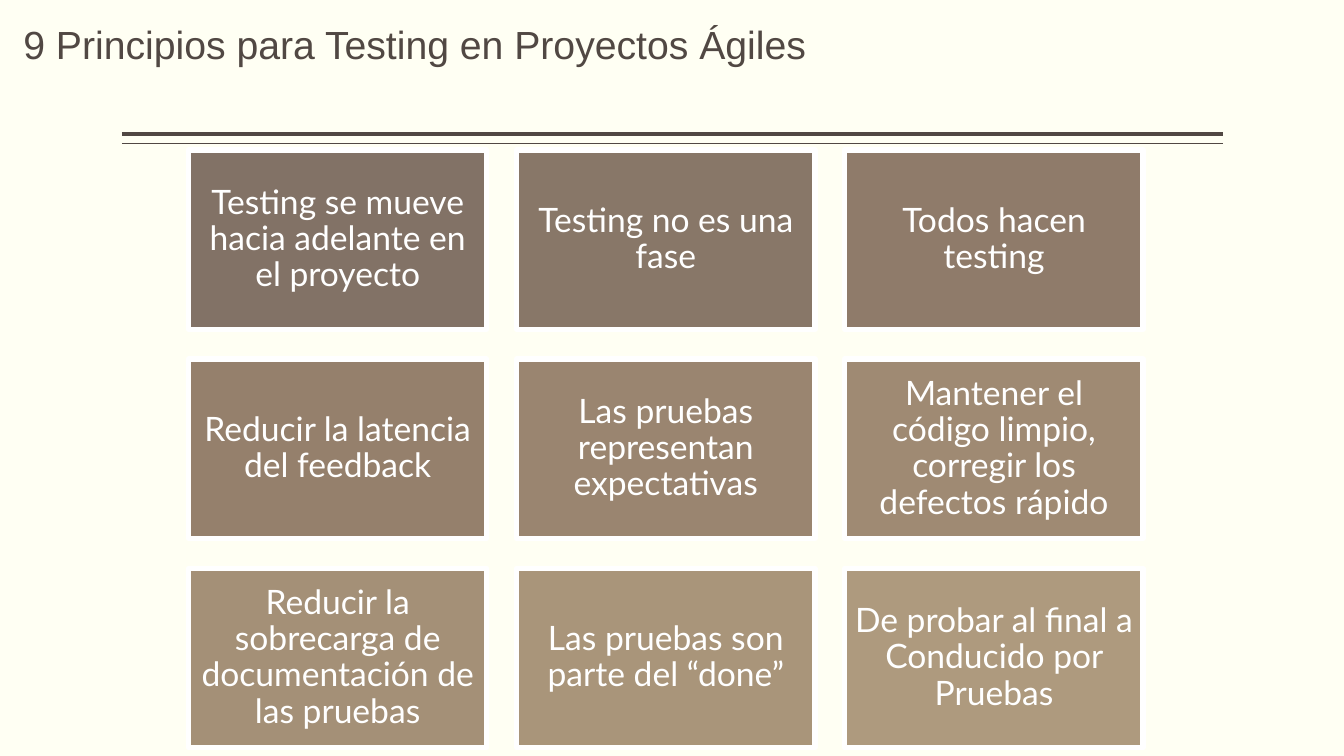
from dataclasses import dataclass

from lxml import etree
from pptx import Presentation
from pptx.dml.color import RGBColor
from pptx.enum.shapes import MSO_CONNECTOR, MSO_SHAPE
from pptx.enum.text import MSO_ANCHOR, PP_ALIGN
from pptx.oxml.ns import qn
from pptx.util import Cm, Pt

RECTANGLE = MSO_SHAPE.RECTANGLE
STRAIGHT = MSO_CONNECTOR.STRAIGHT
MIDDLE, BOTTOM = MSO_ANCHOR.MIDDLE, MSO_ANCHOR.BOTTOM
LEFT, CENTER = PP_ALIGN.LEFT, PP_ALIGN.CENTER


@dataclass(frozen=True)
class Theme:
    background: str = "FFFFF3"
    dark: str = "514843"
    white: str = "FFFFFF"
    title_font: str = "Arial"
    card_font: str = "Lato"
    title_size: float = 28
    card_size: float = 24
    card_border: float = 3.78
    line_spacing: float = 0.9


THEME = Theme()

TITLE = "9 Principios para Testing en Proyectos Ágiles"

# Each principle with the fill of its card
PRINCIPLES = [
    ("Testing se mueve hacia adelante en el proyecto", "827266"),
    ("Testing no es una fase", "887768"),
    ("Todos hacen testing", "8F7B6A"),
    ("Reducir la latencia del feedback", "95806C"),
    ("Las pruebas representan expectativas", "9A8570"),
    ("Mantener el código limpio, corregir los defectos rápido", "9F8A73"),
    ("Reducir la sobrecarga de documentación de las pruebas", "A49077"),
    ("Las pruebas son parte del “done”", "A9957A"),
    ("De probar al final a Conducido por Pruebas", "AE9A7E"),
]


def rgb(value):
    return RGBColor.from_string(value)


def write_text(shape, text, *, font, size, color, align, anchor, inset_x, inset_y):
    frame = shape.text_frame
    frame.word_wrap = True
    frame.vertical_anchor = anchor
    frame.margin_left = frame.margin_right = Cm(inset_x)
    frame.margin_top = frame.margin_bottom = Cm(inset_y)
    paragraph = frame.paragraphs[0]
    paragraph.alignment = align
    paragraph.line_spacing = THEME.line_spacing
    run = paragraph.add_run()
    run.text = text
    run.font.name = font
    run.font.size = Pt(size)
    run.font.color.rgb = rgb(color)


def add_title(slide, left, top, width, height):
    box = slide.shapes.add_textbox(Cm(left), Cm(top), Cm(width), Cm(height))
    write_text(box, TITLE, font=THEME.title_font, size=THEME.title_size,
               color=THEME.dark, align=LEFT, anchor=BOTTOM, inset_x=0, inset_y=0.13)


def add_double_rule(slide, left, top, width, gap):
    # Thick rule above, thin rule below
    for offset, weight in ((0, 3), (gap, 1)):
        y = Cm(top + offset)
        rule = slide.shapes.add_connector(STRAIGHT, Cm(left), y, Cm(left + width), y)
        rule.line.color.rgb = rgb(THEME.dark)
        rule.line.width = Pt(weight)
        etree.SubElement(rule._element.spPr, qn("a:effectLst"))


def add_card(slide, text, fill, left, top, width, height):
    card = slide.shapes.add_shape(RECTANGLE, Cm(left), Cm(top), Cm(width), Cm(height))
    card.shadow.inherit = False
    card.fill.solid()
    card.fill.fore_color.rgb = rgb(fill)
    card.line.color.rgb = rgb(THEME.white)
    card.line.width = Pt(THEME.card_border)
    write_text(card, text, font=THEME.card_font, size=THEME.card_size,
               color=THEME.white, align=CENTER, anchor=MIDDLE, inset_x=0.24, inset_y=0.24)


def add_card_grid(slide, left, top, width, height, columns=3, gap=0.75):
    rows = len(PRINCIPLES) // columns
    card_width = (width - gap * (columns - 1)) / columns
    card_height = (height - gap * (rows - 1)) / rows
    for index, (text, fill) in enumerate(PRINCIPLES):
        row, column = divmod(index, columns)
        add_card(slide, text, fill,
                 left + column * (card_width + gap), top + row * (card_height + gap),
                 card_width, card_height)


def main():
    presentation = Presentation()
    presentation.slide_width = Cm(33.87)
    presentation.slide_height = Cm(19.05)
    slide = presentation.slides.add_slide(presentation.slide_layouts[6])
    slide.background.fill.solid()
    slide.background.fill.fore_color.rgb = rgb(THEME.background)

    add_double_rule(slide, left=3.07, top=3.38, width=27.74, gap=0.24)
    add_title(slide, left=0.59, top=-1.83, width=29.2, height=3.68)
    add_card_grid(slide, left=4.75, top=3.78, width=24.06, height=15.06)

    presentation.save("out.pptx")


if __name__ == "__main__":
    main()
